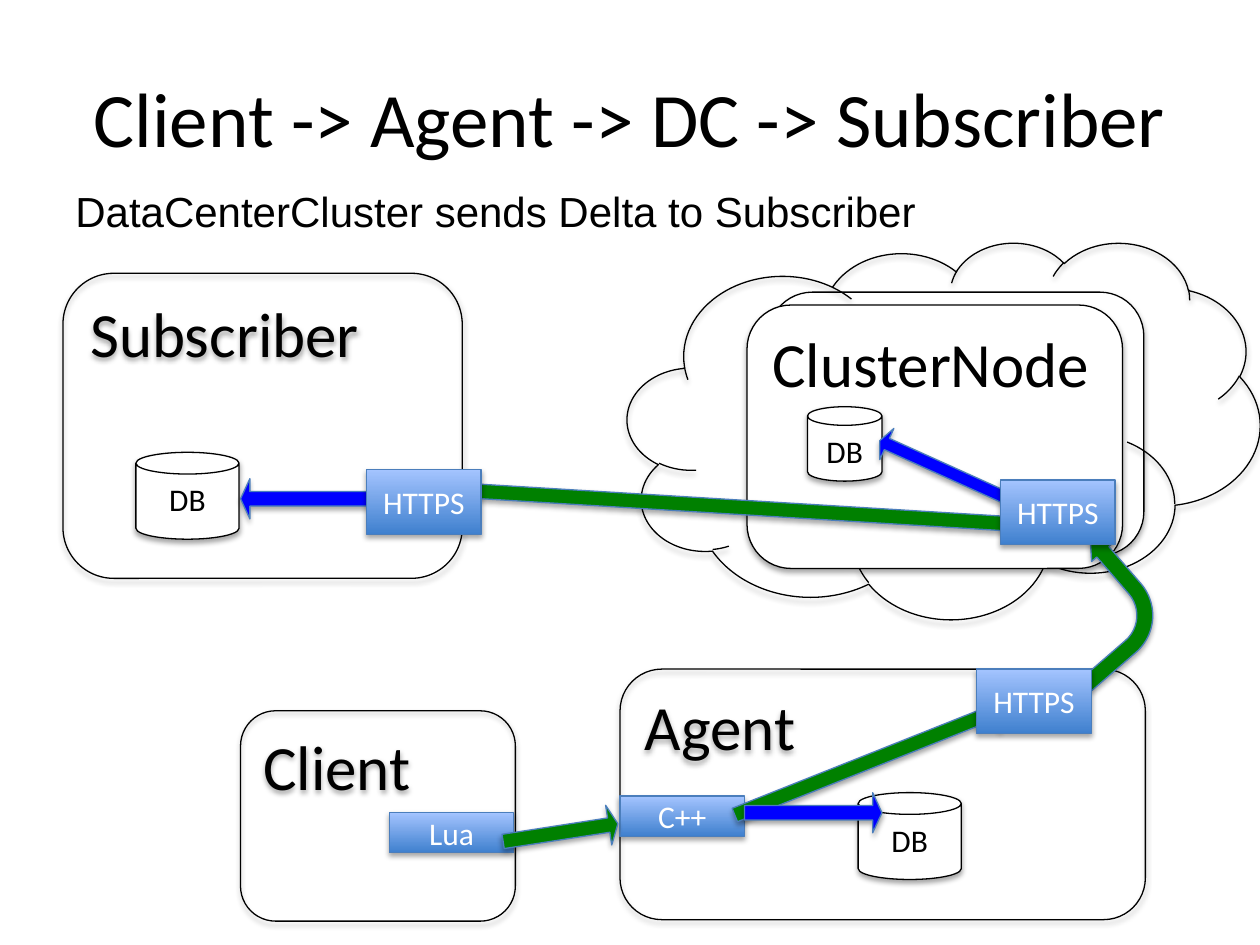
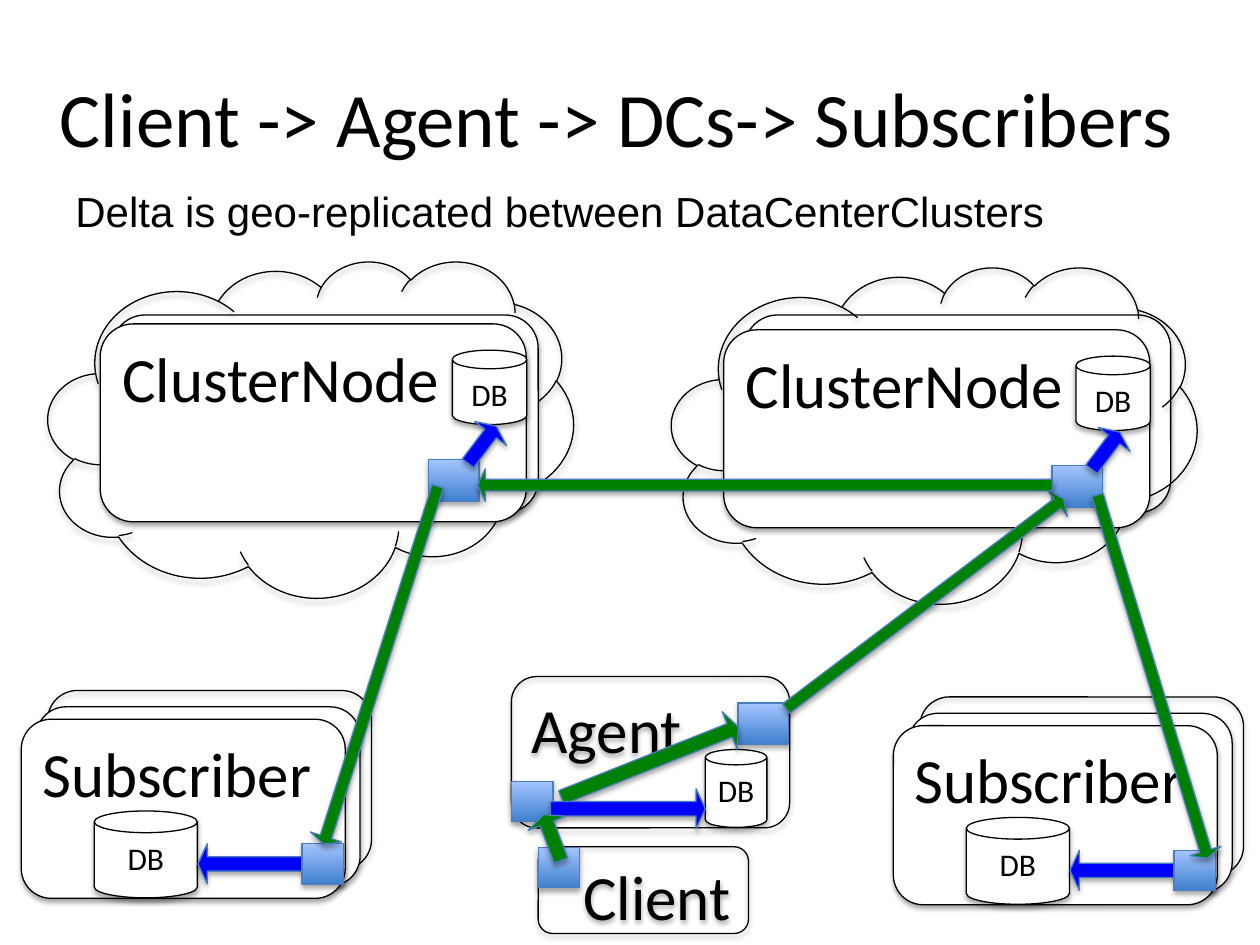
"""Two slides on how a delta travels from client to subscriber."""

from dataclasses import dataclass

from lxml.etree import SubElement
from pptx import Presentation
from pptx.dml.color import RGBColor
from pptx.enum.shapes import MSO_SHAPE
from pptx.enum.text import MSO_ANCHOR, PP_ALIGN
from pptx.oxml.ns import qn
from pptx.shapes.autoshape import Shape
from pptx.slide import Slide
from pptx.util import Cm, Pt

BLACK = RGBColor(0x00, 0x00, 0x00)
WHITE = RGBColor(0xFF, 0xFF, 0xFF)
GREEN = RGBColor(0x00, 0x80, 0x00)
BLUE = RGBColor(0x00, 0x00, 0xFF)
EDGE = RGBColor(0x4B, 0x7E, 0xBC)
PORT_DARK = RGBColor(0x3F, 0x80, 0xCE)
PORT_LIGHT = RGBColor(0xA4, 0xC4, 0xFF)


@dataclass(frozen=True)
class Lettering:
    """Font and placement of a text."""

    size: int
    color: RGBColor = BLACK
    font: str = "Calibri"
    align: PP_ALIGN = PP_ALIGN.LEFT
    anchor: MSO_ANCHOR = MSO_ANCHOR.TOP


TITLE = Lettering(44, align=PP_ALIGN.CENTER, anchor=MSO_ANCHOR.MIDDLE)
CAPTION = Lettering(24, font="Arial")
HEADING = Lettering(36)
STORE_LABEL = Lettering(18, align=PP_ALIGN.CENTER)
PORT_LABEL = Lettering(18, WHITE, align=PP_ALIGN.CENTER, anchor=MSO_ANCHOR.MIDDLE)


@dataclass(frozen=True)
class Look:
    """Outline, colours and lettering of one kind of element."""

    preset: MSO_SHAPE
    fill: tuple[RGBColor, ...] = ()
    edge: RGBColor = BLACK
    lettering: Lettering = HEADING
    adjustments: tuple[float, ...] = ()


ARROW_SHAPE = (0.36, 0.23)
CLOUD = Look(MSO_SHAPE.CLOUD)
FRAME = Look(MSO_SHAPE.ROUNDED_RECTANGLE)
CARD = Look(MSO_SHAPE.ROUNDED_RECTANGLE, (WHITE,))
STORE = Look(MSO_SHAPE.CAN, (WHITE,), lettering=STORE_LABEL)
PORT = Look(MSO_SHAPE.RECTANGLE, (PORT_DARK, PORT_LIGHT), EDGE, PORT_LABEL)
SEND = Look(MSO_SHAPE.RIGHT_ARROW, (GREEN,), EDGE, adjustments=ARROW_SHAPE)
STORING = Look(MSO_SHAPE.RIGHT_ARROW, (BLUE,), EDGE, adjustments=ARROW_SHAPE)
BEND = Look(MSO_SHAPE.BENT_ARROW, (GREEN,), EDGE, adjustments=(0.14, 0.13, 0.17, 0.43))


@dataclass(frozen=True)
class Piece:
    """One element; lengths are centimetres, turn is degrees clockwise."""

    look: Look
    left: float
    top: float
    width: float
    height: float
    text: str = ""
    turn: float = 0
    flipped: bool = False
    indent: float = 0


NODE_SIZE = (8.59, 3.99)
SUBSCRIBER_SIZE = (6.53, 3.61)
STORE_SIZE = (2.08, 1.75)
SMALL_STORE_SIZE = (1.5, 1.5)
HTTPS_SIZE = (2.31, 1.3)
CODE_SIZE = (2.51, 0.81)
PORT_SIZE = (1.02, 0.84)
SMALL_PORT_SIZE = (0.84, 0.81)

SINGLE_CENTER = (
    Piece(CARD, 15.49, 5.89, 7.57, 5.31),
    Piece(CLOUD, 12.65, 4.88, 12.75, 7.59),
    Piece(FRAME, 12.5, 13.49, 10.59, 5.05, "Agent"),
    Piece(STORE, 17.3, 15.98, *STORE_SIZE, "DB"),
    Piece(PORT, 12.5, 16.05, *CODE_SIZE, "C++"),
    Piece(FRAME, 4.85, 14.33, 5.54, 4.24, "Client"),
    Piece(PORT, 7.85, 16.38, *CODE_SIZE, "Lua"),
    Piece(SEND, 10.13, 16.38, 2.34, 0.81, turn=351.2),
    Piece(SEND, 14.61, 14.96, 5.77, 0.81, turn=338.3),
    Piece(STORING, 15.01, 15.98, 2.77, 0.81),
    Piece(CARD, 15.06, 6.15, 7.57, 5.31, "ClusterNode"),
    Piece(STORE, 16.28, 8.2, *SMALL_STORE_SIZE, "DB"),
    Piece(STORING, 17.58, 9.25, 3.45, 0.69, turn=204.3),
    Piece(BEND, 20.93, 11.13, 2.36, 2.29, turn=49.1, flipped=True),
    Piece(FRAME, 1.27, 5.51, 8.05, 6.15, "Subscriber"),
    Piece(STORE, 2.74, 9.12, *STORE_SIZE, "DB"),
    Piece(SEND, 9.3, 9.83, 11.53, 0.81, turn=183.5),
    Piece(STORING, 4.85, 9.65, 2.97, 0.81, turn=180),
    Piece(PORT, 7.39, 9.47, *HTTPS_SIZE, "HTTPS"),
    Piece(PORT, 20.17, 9.68, *HTTPS_SIZE, "HTTPS"),
    Piece(PORT, 19.69, 13.49, *HTTPS_SIZE, "HTTPS"),
)

SPARE_NODES = (
    Piece(CARD, 2.26, 6.35, *NODE_SIZE),
    Piece(CARD, 15.01, 6.35, *NODE_SIZE),
)
CLUSTER = (
    Piece(CLOUD, 0, 0, 10.59, 6.78),
    Piece(CARD, 1.05, 1.27, *NODE_SIZE, "ClusterNode"),
    Piece(STORE, 8.15, 1.8, *SMALL_STORE_SIZE, "DB"),
    Piece(PORT, 7.67, 4.01, *PORT_SIZE),
    Piece(STORING, 8.28, 3.3, 0.94, 0.81, turn=307.1),
)
AGENT_AND_CLIENT = (
    Piece(FRAME, 10.31, 13.64, 5.61, 3.05, "Agent"),
    Piece(STORE, 14.22, 15.11, 1.24, 1.57, "DB"),
    Piece(PORT, 10.31, 15.75, *SMALL_PORT_SIZE),
    Piece(PORT, 14.88, 14.17, *PORT_SIZE),
    Piece(FRAME, 10.85, 17.07, 4.24, 1.75, "Client", indent=0.57),
    Piece(SEND, 11.18, 14.96, 3.84, 0.81, turn=338.3),
    Piece(STORING, 11.1, 15.9, 3.12, 0.81),
    Piece(PORT, 10.85, 17.09, *SMALL_PORT_SIZE),
    Piece(SEND, 10.64, 16.48, 0.99, 0.81, turn=249.3),
)
SUBSCRIBER = (
    Piece(FRAME, 0.53, -0.58, *SUBSCRIBER_SIZE),
    Piece(CARD, 0.3, -0.25, *SUBSCRIBER_SIZE),
    Piece(CARD, 0, 0, *SUBSCRIBER_SIZE, "Subscriber"),
    Piece(STORE, 1.47, 1.85, *STORE_SIZE, "DB"),
    Piece(STORING, 3.56, 2.51, 2.11, 0.81, turn=180),
    Piece(PORT, 5.66, 2.51, *SMALL_PORT_SIZE),
)
LONG_ROUTES = (
    Piece(SEND, 15.14, 11.84, 7.01, 0.66, turn=322.9),
    Piece(SEND, 3.89, 13.08, 7.57, 0.66, turn=107.7),
    Piece(SEND, 19.41, 13.31, 7.65, 0.66, turn=73.1),
    Piece(SEND, 9.63, 9.45, 11.58, 0.66, turn=180),
)


def write(box: Shape, text: str, lettering: Lettering, indent: float = 0) -> None:
    """Put one run of text into a box."""
    frame = box.text_frame
    frame.word_wrap = True
    frame.vertical_anchor = lettering.anchor
    centred = lettering.align == PP_ALIGN.CENTER
    frame.margin_left = Cm(0 if centred else 0.25 + indent)
    frame.margin_right = 0
    para = frame.paragraphs[0]
    para.alignment = lettering.align
    span = para.add_run()
    span.text = text
    span.font.name = lettering.font
    span.font.size = Pt(lettering.size)
    span.font.color.rgb = lettering.color


def paint(shape: Shape, look: Look) -> None:
    """Set fill and outline of a shape."""
    if not look.fill:
        shape.fill.background()
    elif len(look.fill) == 1:
        shape.fill.solid()
        shape.fill.fore_color.rgb = look.fill[0]
    else:
        shape.fill.gradient()
        shape.fill.gradient_angle = 90
        for stop, color in zip(shape.fill.gradient_stops, look.fill):
            stop.color.rgb = color
    shape.line.color.rgb = look.edge
    shape.line.width = Pt(0.75)


def cast_shadow(shape: Shape) -> None:
    """Give a shape a soft shadow below it."""
    shape.shadow.inherit = False
    effects = shape.element.spPr.find(qn("a:effectLst"))
    shadow = SubElement(
        effects,
        qn("a:outerShdw"),
        blurRad=str(Pt(3.1)),
        dist=str(Pt(1.8)),
        dir="5400000",
        rotWithShape="0",
    )
    color = SubElement(shadow, qn("a:srgbClr"), val=str(BLACK))
    SubElement(color, qn("a:alpha"), val="35000")


def draw(
    page: Slide, pieces: tuple[Piece, ...], left: float = 0, top: float = 0
) -> None:
    """Draw pieces from back to front, shifted by left and top."""
    for piece in pieces:
        look = piece.look
        shape = page.shapes.add_shape(
            look.preset,
            Cm(left + piece.left),
            Cm(top + piece.top),
            Cm(piece.width),
            Cm(piece.height),
        )
        for index, value in enumerate(look.adjustments):
            shape.adjustments[index] = value
        shape.rotation = piece.turn
        if piece.flipped:
            shape.element.spPr.get_or_add_xfrm().set("flipH", "1")
        paint(shape, look)
        cast_shadow(shape)
        if piece.text:
            write(shape, piece.text, look.lettering, piece.indent)


def add_page(deck: Presentation, title: str, caption: str, left: float, width: float) -> Slide:
    """Add a blank page with its title and caption."""
    page = deck.slides.add_slide(deck.slide_layouts[6])
    box = page.shapes.add_textbox(Cm(left), Cm(0.76), Cm(width), Cm(3.18))
    write(box, title, TITLE)
    box = page.shapes.add_textbox(Cm(1.27), Cm(3.61), Cm(23.29), Cm(1.27))
    write(box, caption, CAPTION)
    return page


def main() -> None:
    """Build and save the deck."""
    deck = Presentation()
    deck.slide_width, deck.slide_height = Cm(25.4), Cm(19.05)

    page = add_page(
        deck,
        "Client -> Agent -> DC -> Subscriber",
        "DataCenterCluster sends Delta to Subscriber",
        1.27,
        22.86,
    )
    draw(page, SINGLE_CENTER)

    page = add_page(
        deck,
        "Client -> Agent -> DCs-> Subscribers",
        "Delta is geo-replicated between DataCenterClusters",
        0.74,
        23.39,
    )
    draw(page, SPARE_NODES)
    for left, top in ((0.97, 5.26), (13.54, 5.38)):
        draw(page, CLUSTER, left, top)
    draw(page, AGENT_AND_CLIENT)
    for left, top in ((0.43, 14.5), (18.01, 14.63)):
        draw(page, SUBSCRIBER, left, top)
    draw(page, LONG_ROUTES)

    deck.save("out.pptx")


if __name__ == "__main__":
    main()
